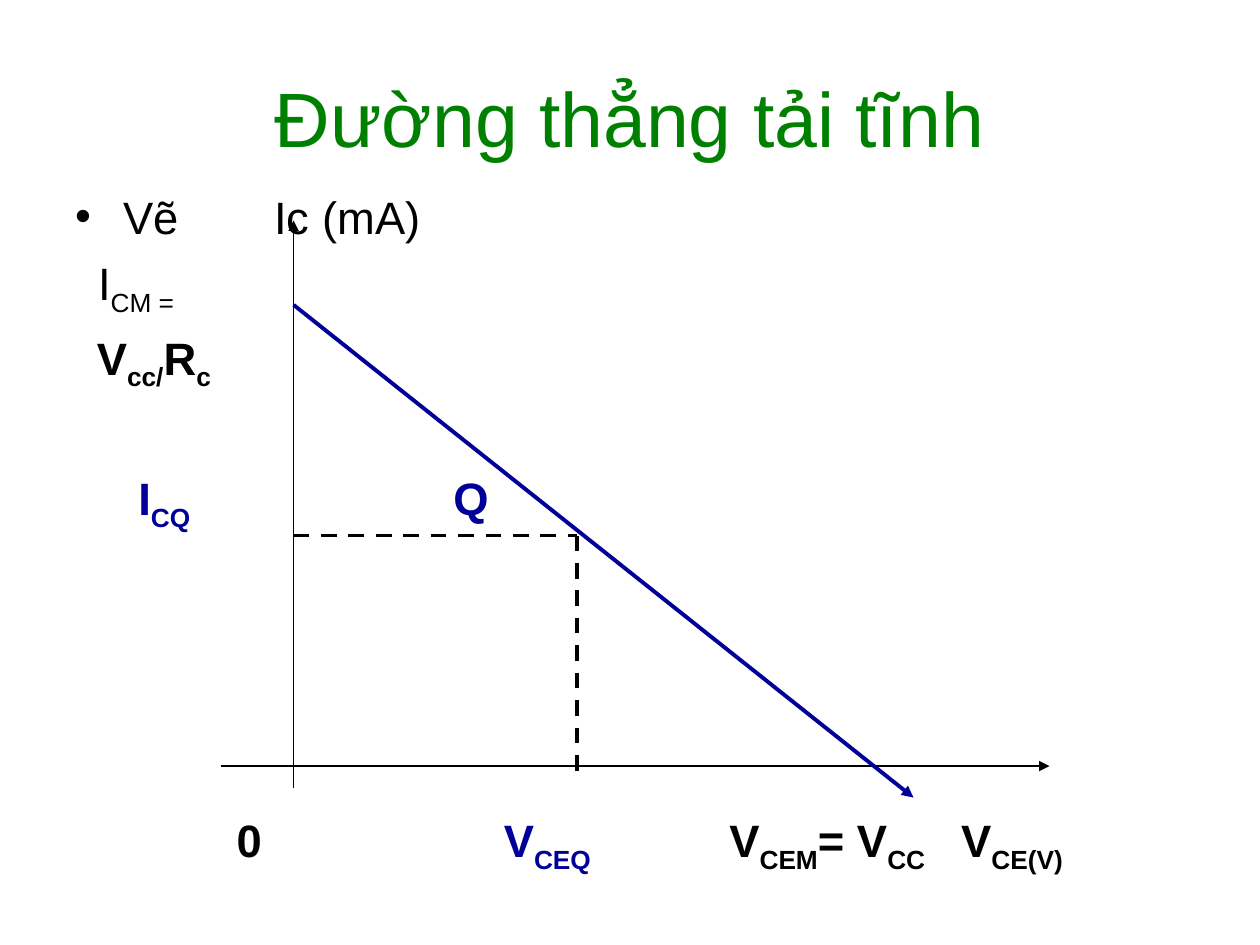
"""Build the static load line slide."""
from dataclasses import dataclass

from lxml.etree import SubElement
from pptx import Presentation
from pptx.dml.color import RGBColor
from pptx.enum.dml import MSO_LINE
from pptx.enum.shapes import MSO_CONNECTOR
from pptx.enum.text import MSO_ANCHOR, PP_ALIGN
from pptx.oxml.ns import qn
from pptx.util import Inches, Pt


@dataclass(frozen=True)
class Theme:
    """Colours, font and sizes of the slide."""
    font: str = "Arial"
    ink: str = "000000"
    title: str = "008000"
    accent: str = "000099"
    title_size: float = 44
    body_size: float = 25.9
    thin: float = 0.75
    thick: float = 2.25


THEME = Theme()


@dataclass(frozen=True)
class Span:
    """A piece of text in one format."""
    text: str
    color: str = THEME.ink
    bold: bool = True
    subscript: bool = False
    size: float = THEME.body_size


@dataclass(frozen=True)
class Row:
    """A paragraph with its tab stops in inches and its space before in points."""
    spans: tuple[Span, ...]
    stops: tuple[float, ...] = ()
    before: float = 7
    bullet: bool = False
    align: PP_ALIGN = PP_ALIGN.LEFT


@dataclass(frozen=True)
class Stroke:
    """A straight line between two points in inches."""
    start: tuple[float, float]
    end: tuple[float, float]
    width: float
    color: str = THEME.ink
    arrow: bool = False
    dashed: bool = False


def symbol(name: str, index: str, color: str = THEME.ink, bold: bool = True) -> tuple[Span, Span]:
    """Return a name followed by its subscript."""
    return Span(name, color, bold), Span(index, color, bold, subscript=True)


ORIGIN_X, AXIS_Y = 2.33, 6.08
Q_X, Q_Y = 4.58, 4.25

TITLE = Row((Span("Đường thẳng tải tĩnh", THEME.title, False, size=THEME.title_size),),
            before=0, align=PP_ALIGN.CENTER)
CURRENT_AXIS = Row((Span("Ic (mA)", bold=False),), before=0)
BODY = (
    Row((Span("Vẽ", bold=False),), before=0, bullet=True),
    Row(symbol("\tI", "CM =", bold=False), (0.18,)),
    Row(symbol("\tV", "cc/") + symbol("R", "c"), (0.17,)),
    Row(symbol("\tI", "CQ", THEME.accent) + (Span("\tQ", THEME.accent),), (0.5, 3.0), before=45),
    Row((Span("\t0"),) + symbol("\tV", "CEQ", THEME.accent) + symbol("\tV", "CEM")
        + symbol("= V", "CC") + symbol("\tV", "CE(V)"), (1.28, 3.4, 5.19, 7.03), before=160),
)
STROKES = (
    Stroke((ORIGIN_X, 6.25), (ORIGIN_X, 1.75), THEME.thin, arrow=True),
    Stroke((1.75, AXIS_Y), (8.33, AXIS_Y), THEME.thin, arrow=True),
    Stroke((ORIGIN_X, 2.42), (7.25, 6.33), THEME.thick, THEME.accent, arrow=True),
    Stroke((ORIGIN_X, Q_Y), (Q_X, Q_Y), THEME.thick, dashed=True),
    Stroke((Q_X, Q_Y), (Q_X, 6.17), THEME.thick, dashed=True),
)


def add_span(paragraph, text: str, *, color: str, bold: bool, subscript: bool, size: float) -> None:
    """Add a formatted run to a paragraph."""
    run = paragraph.add_run()
    run.text = text
    run.font.name = THEME.font
    run.font.size = Pt(size)
    run.font.bold = bold
    run.font.color.rgb = RGBColor.from_string(color)
    if subscript:
        run.font._element.set("baseline", "-25000")


def fill_paragraph(paragraph, row: Row) -> None:
    """Write a row into a paragraph."""
    properties = paragraph._p.get_or_add_pPr()
    if row.bullet:
        properties.set("marL", str(Inches(0.38)))
        properties.set("indent", str(-Inches(0.38)))
        SubElement(properties, qn("a:buFont"), typeface=THEME.font)
        SubElement(properties, qn("a:buChar"), char="•")
    if row.stops:
        tabs = SubElement(properties, qn("a:tabLst"))
        for stop in row.stops:
            SubElement(tabs, qn("a:tab"), pos=str(Inches(stop)), algn="l")
    paragraph.alignment = row.align
    paragraph.space_before = Pt(row.before)
    for span in row.spans:
        add_span(paragraph, span.text, color=span.color, bold=span.bold,
                 subscript=span.subscript, size=span.size)


def add_text(page, rows: tuple[Row, ...], left: float, top: float, width: float, height: float,
             anchor: MSO_ANCHOR = MSO_ANCHOR.TOP) -> None:
    """Add a text box holding the given rows."""
    box = page.shapes.add_textbox(Inches(left), Inches(top), Inches(width), Inches(height))
    frame = box.text_frame
    frame.word_wrap = True
    frame.vertical_anchor = anchor
    for index, row in enumerate(rows):
        fill_paragraph(frame.add_paragraph() if index else frame.paragraphs[0], row)


def add_stroke(page, stroke: Stroke) -> None:
    """Draw a straight line with its optional dash and arrowhead."""
    points = [Inches(value) for value in stroke.start + stroke.end]
    connector = page.shapes.add_connector(MSO_CONNECTOR.STRAIGHT, *points)
    connector.line.width = Pt(stroke.width)
    connector.line.color.rgb = RGBColor.from_string(stroke.color)
    if stroke.dashed:
        connector.line.dash_style = MSO_LINE.DASH
    if stroke.arrow:
        SubElement(connector.line._get_or_add_ln(), qn("a:tailEnd"), type="triangle")
    SubElement(connector._element.spPr, qn("a:effectLst"))


def main() -> None:
    """Build and save the deck."""
    deck = Presentation()
    deck.slide_width, deck.slide_height = Inches(10), Inches(7.5)
    page = deck.slides.add_slide(deck.slide_layouts[6])
    add_text(page, (TITLE,), 0.5, 0.3, 9, 1.25, MSO_ANCHOR.MIDDLE)
    add_text(page, BODY, 0.5, 1.45, 9, 5.25)
    add_text(page, (CURRENT_AXIS,), 2.08, 1.45, 1.6, 0.5)
    for stroke in STROKES:
        add_stroke(page, stroke)
    deck.save("out.pptx")


if __name__ == "__main__":
    main()
